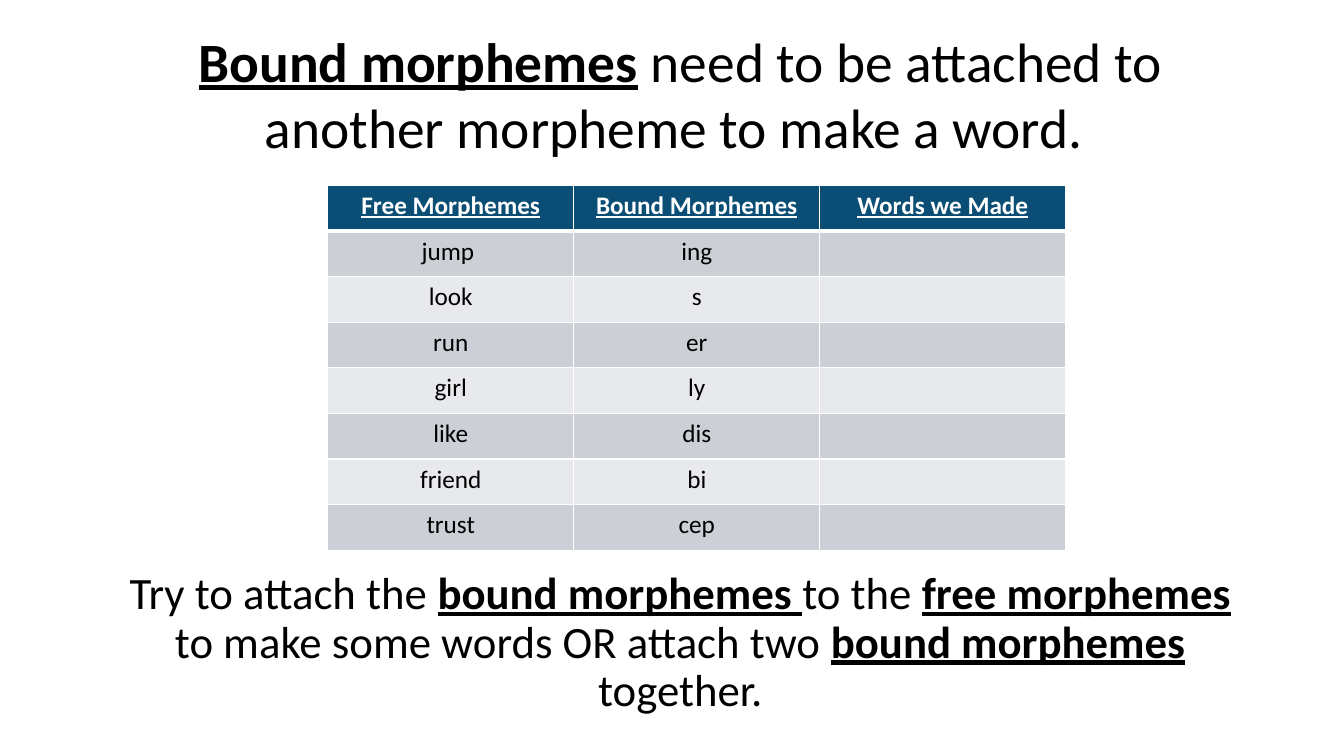
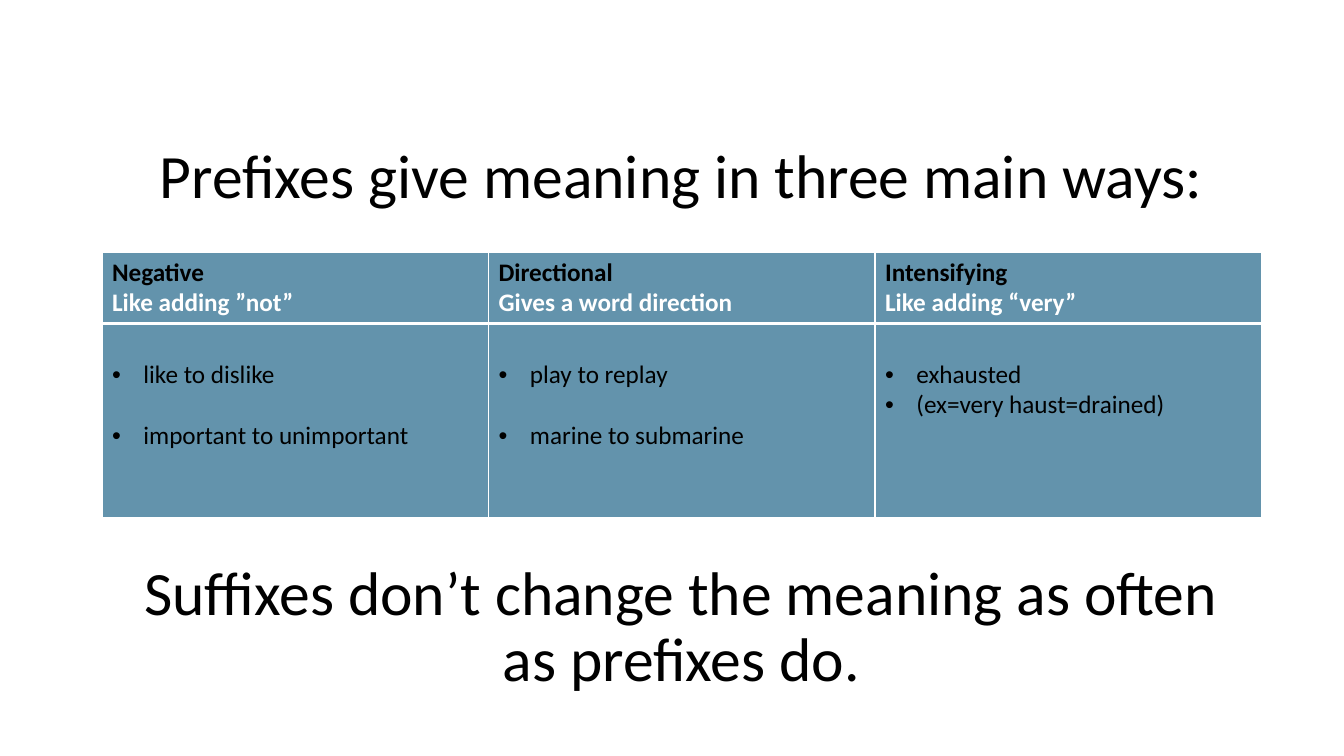
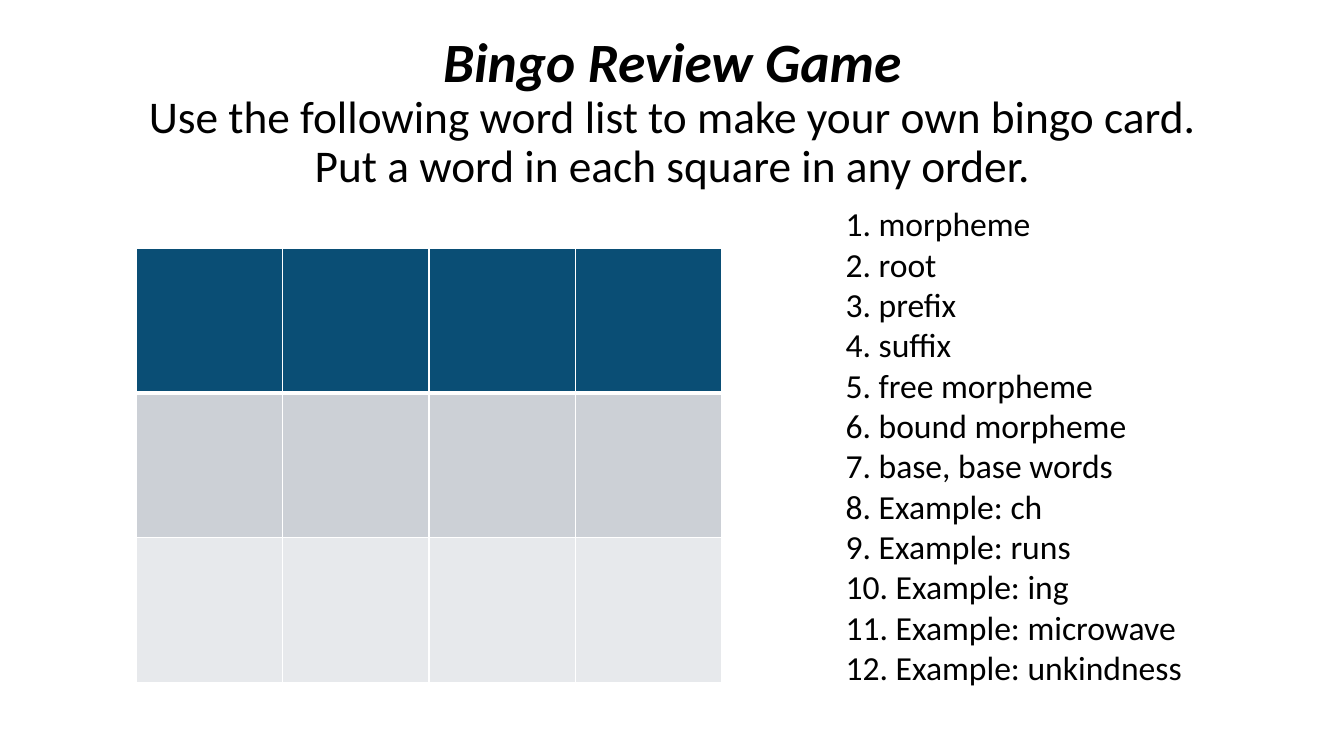
from dataclasses import dataclass, field
from typing import Any, NamedTuple

from lxml import etree
from pptx import Presentation
from pptx.dml.color import RGBColor
from pptx.enum import text
from pptx.oxml import ns
from pptx.util import Cm, Pt

# Shared look
BLACK = RGBColor(0x00, 0x00, 0x00)
WHITE = RGBColor(0xFF, 0xFF, 0xFF)
NAVY = RGBColor(0x0A, 0x4E, 0x75)
BLUE = RGBColor(0x00, 0x4F, 0x78)
GREY = RGBColor(0xCC, 0xD0, 0xD6)
PALE = RGBColor(0xE7, 0xE9, 0xEC)
FONT = "Calibri"
BANNER_W, BANNER_H = Cm(29.21), Cm(3.68)
INDENT = Cm(0.79)
KEY_TERM = {"bold": True, "underline": True}
CENTER = text.PP_ALIGN.CENTER


class Run(NamedTuple):
    text: str
    size: float = 18
    color: RGBColor = BLACK
    fmt: dict[str, Any] = {}


@dataclass
class Para:
    runs: list[Run]
    fmt: dict[str, Any] = field(default_factory=dict)
    bullet: bool = False


@dataclass
class Grid:
    left: Cm
    top: Cm
    col_width: Cm
    row_heights: list[Cm]
    fills: list[RGBColor]
    cells: list[list[list[Para]]]
    alpha: int = 100
    body_margin_top: Cm = Cm(0.13)


def apply(target: Any, values: dict[str, Any]) -> None:
    for name, value in values.items():
        setattr(target, name, value)


def sub(parent: Any, tag: str, **attrs: str) -> Any:
    return etree.SubElement(parent, ns.qn(tag), attrs)


# Text
def write(tf: Any, paras: list[Para]) -> None:
    for i, para in enumerate(paras):
        p = tf.add_paragraph() if i else tf.paragraphs[0]
        if para.bullet:
            pPr = p._p.get_or_add_pPr()
            apply_indent = {"marL": INDENT, "indent": -INDENT}
            for name, value in apply_indent.items():
                pPr.set(name, str(int(value)))
            sub(pPr, "a:buFont", typeface="Arial")
            sub(pPr, "a:buChar", char="•")
        apply(p, para.fmt)
        for run in para.runs:
            for n, line in enumerate(run.text.split("\n")):
                if n:
                    p.add_line_break()
                if not line:
                    continue
                r = p.add_run()
                r.text = line
                apply(r.font, {"name": FONT, "size": Pt(run.size), "bold": False} | run.fmt)
                r.font.color.rgb = run.color


def add_banner(s: Any, left: Cm, top: Cm, runs: list[Run], spacing: float = 0.9) -> None:
    tf = s.shapes.add_textbox(left, top, BANNER_W, BANNER_H).text_frame
    apply(tf, {"word_wrap": True, "vertical_anchor": text.MSO_ANCHOR.MIDDLE})
    write(tf, [Para(runs, {"alignment": CENTER, "line_spacing": spacing})])


# Tables
def style_cell(cell: Any, row: int, fill: RGBColor, alpha: int) -> None:
    tcPr = cell._tc.get_or_add_tcPr()
    heavy = {0: "a:lnB", 1: "a:lnT"}.get(row)
    for side in ("a:lnL", "a:lnR", "a:lnT", "a:lnB"):
        ln = sub(tcPr, side, w=str(int(Pt(3 if side == heavy else 1))))
        sub(sub(ln, "a:solidFill"), "a:srgbClr", val=str(WHITE))
    cell.fill.solid()
    cell.fill.fore_color.rgb = fill
    if alpha < 100:
        color = tcPr.find(ns.qn("a:solidFill")).find(ns.qn("a:srgbClr"))
        sub(color, "a:alpha", val=str(alpha * 1000))


def add_grid(s: Any, grid: Grid) -> None:
    rows, cols = len(grid.cells), len(grid.cells[0])
    table = s.shapes.add_table(rows, cols, grid.left, grid.top, grid.col_width * cols,
                               sum(grid.row_heights)).table
    for column in table.columns:
        column.width = grid.col_width
    for r, height in enumerate(grid.row_heights):
        table.rows[r].height = height
        for c, paras in enumerate(grid.cells[r]):
            cell = table.cell(r, c)
            style_cell(cell, r, grid.fills[r], grid.alpha)
            if r:
                cell.margin_top = grid.body_margin_top
            write(cell.text_frame, paras)


def banded(rows: int) -> list[RGBColor]:
    return [NAVY] + [PALE if r % 2 else GREY for r in range(rows - 1)]


def centered(label: str, header: bool) -> list[Para]:
    run = Run(label, 18, WHITE, KEY_TERM) if header else Run(label)
    return [Para([run] if label else [], {"alignment": CENTER})]


# Slides
def bound_morphemes(s: Any) -> None:
    add_banner(s, Cm(2.54), Cm(0.51), [
        Run("Bound morphemes", 39.6, fmt=KEY_TERM),
        Run(" need to be attached to another morpheme to make a word. ", 39.6),
    ], spacing=1.0)
    words = [
        ("Free Morphemes", "Bound Morphemes", "Words we Made"),
        ("jump ", "ing", ""), ("look", "s", ""), ("run", "er", ""), ("girl", "ly", ""),
        ("like", "dis", ""), ("friend", "bi", ""), ("trust", "cep", ""),
    ]
    add_grid(s, Grid(Cm(8.26), Cm(4.67), Cm(6.2), [Cm(1.15)] * len(words), banded(len(words)),
                     [[centered(w, r == 0) for w in row] for r, row in enumerate(words)]))
    add_banner(s, Cm(2.54), Cm(14.38), [
        Run("Try to attach the ", 32),
        Run("bound morphemes ", 32, fmt=KEY_TERM),
        Run("to the ", 32),
        Run("free morphemes", 32, fmt=KEY_TERM),
        Run(" to make some words OR attach two ", 32),
        Run("bound morphemes", 32, fmt=KEY_TERM),
        Run(" together.", 32),
    ])


def prefixes(s: Any) -> None:
    add_banner(s, Cm(2.57), Cm(2.67), [Run("Prefixes give meaning in three main ways:", 44)])
    # Heading, gloss, examples, gap between examples in points
    kinds = [
        ("Negative", "Like adding ”not”", ("like to dislike", "important to unimportant"), 22),
        ("Directional", "Gives a word direction", ("play to replay", "marine to submarine"), 22),
        ("Intensifying", "Like adding “very”", ("exhausted", "(ex=very haust=drained)"), 0),
    ]
    bold = {"bold": True}
    heads = [[Para([Run(name, fmt=bold)]), Para([Run(gloss, 18, WHITE, bold)])]
             for name, gloss, _, _ in kinds]
    bodies = [[Para([Run(example)], {"space_before": Pt(gap if i else 0)}, bullet=True)
               for i, example in enumerate(examples)] for _, _, examples, gap in kinds]
    add_grid(s, Grid(Cm(2.57), Cm(6.35), Cm(9.74), [Cm(1.8), Cm(4.9)], [BLUE, BLUE],
                     [heads, bodies], alpha=61, body_margin_top=Cm(0.9)))
    add_banner(s, Cm(2.57), Cm(14), [
        Run("Suffixes don’t change the meaning as often as prefixes do.", 44)])


def bingo(s: Any) -> None:
    add_banner(s, Cm(2.34), Cm(1.02), [
        Run("Bingo Review Game\n", 39.6, fmt={"bold": True, "italic": True}),
        Run("Use the following word list to make your own bingo card.\n"
            "Put a word in each square in any order.", 32.4),
    ])
    words = ["morpheme", "root", "prefix", "suffix", "free morpheme", "bound morpheme",
             "base, base words", "Example: ch", "Example: runs", "Example: ing",
             "Example: microwave", "Example: unkindness"]
    tf = s.shapes.add_textbox(Cm(21.06), Cm(5), Cm(9.07), Cm(12.57)).text_frame
    apply(tf, {"word_wrap": False, "auto_size": text.MSO_AUTO_SIZE.SHAPE_TO_FIT_TEXT})
    write(tf, [Para([Run(f"{n}. {word}", 24)]) for n, word in enumerate(words, 1)])
    add_grid(s, Grid(Cm(3.43), Cm(6.25), Cm(3.69), [Cm(3.65)] * 3, banded(3),
                     [[centered("", False)] * 4] * 3))


def main() -> None:
    prs = Presentation()
    apply(prs, {"slide_width": Cm(33.87), "slide_height": Cm(19.05)})
    for build in (bound_morphemes, prefixes, bingo):
        build(prs.slides.add_slide(prs.slide_layouts[6]))
    prs.save("out.pptx")


if __name__ == "__main__":
    main()
